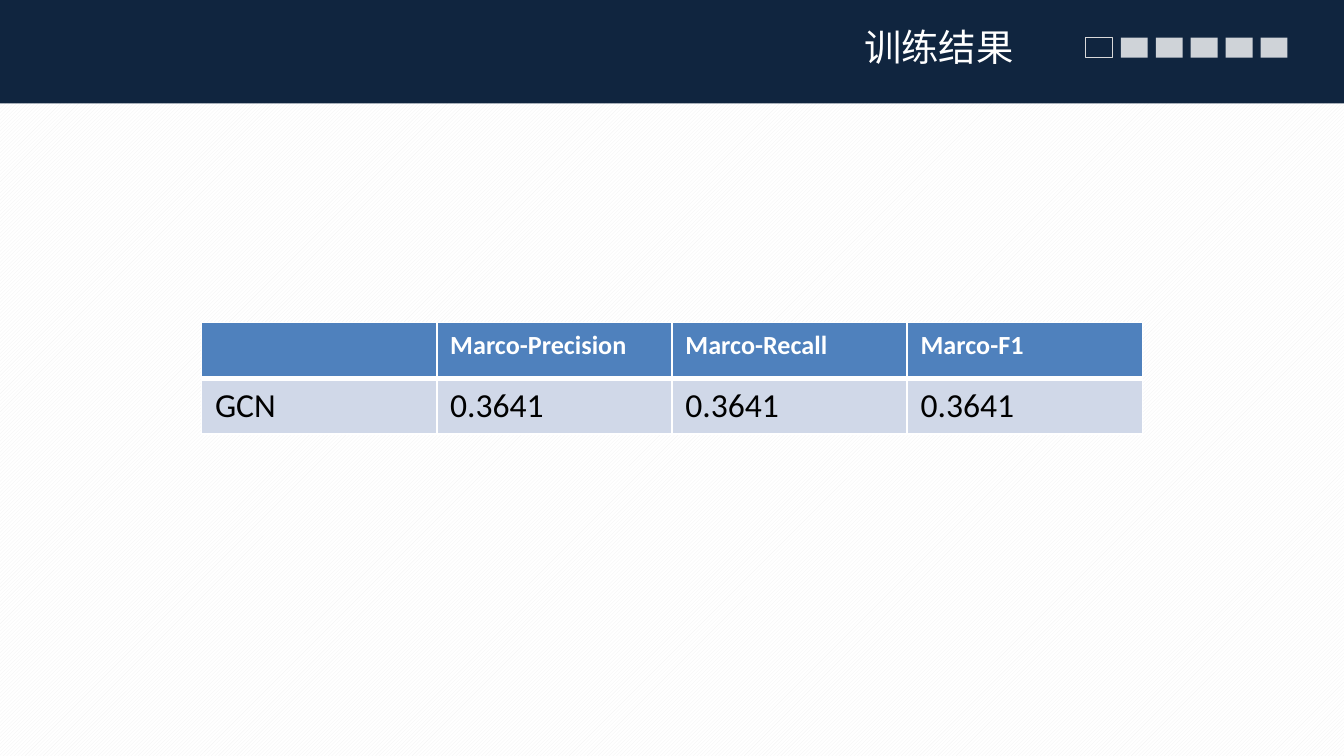
from lxml import etree
from pptx import Presentation
from pptx.dml.color import RGBColor
from pptx.enum.dml import MSO_PATTERN
from pptx.enum.shapes import MSO_SHAPE
from pptx.enum.text import MSO_ANCHOR, PP_ALIGN
from pptx.oxml import parse_xml
from pptx.oxml.ns import nsdecls, qn
from pptx.util import Inches, Pt

RECTANGLE = MSO_SHAPE.RECTANGLE
DIAGONAL = MSO_PATTERN.LIGHT_UPWARD_DIAGONAL
RIGHT = PP_ALIGN.RIGHT
TOP = MSO_ANCHOR.TOP

NAVY = RGBColor(0x10, 0x25, 0x3F)
WHITE = RGBColor(0xFF, 0xFF, 0xFF)
BLACK = RGBColor(0, 0, 0)
PALE_GREY = RGBColor(0xF2, 0xF2, 0xF2)
OUTLINE_GREY = RGBColor(0xD9, 0xD9, 0xD9)
BLUE = RGBColor(0x4F, 0x81, 0xBD)
PALE_BLUE = RGBColor(0xD0, 0xD8, 0xE8)

deck = Presentation()
deck.slide_width = Inches(10)
deck.slide_height = deck.slide_width * 9 // 16
slide = deck.slides.add_slide(deck.slide_layouts[6])

backdrop = slide.background.fill
backdrop.patterned()
backdrop.pattern = DIAGONAL
backdrop.fore_color.rgb = PALE_GREY
backdrop.back_color.rgb = WHITE


def add_block(left, top, width, height):
    block = slide.shapes.add_shape(
        RECTANGLE, Inches(left), Inches(top), Inches(width), Inches(height))
    block.shadow.inherit = False
    block.line.fill.background()
    return block


header = add_block(0, 0, 10, 0.77)
header.fill.solid()
header.fill.fore_color.rgb = NAVY

MARKER_STEP = 0.26
for step in range(6):
    marker = add_block(8.08 + step * MARKER_STEP, 0.28, 0.2, 0.15)
    if step == 0:
        marker.fill.background()
        marker.line.color.rgb = OUTLINE_GREY
        marker.line.width = Pt(0.5)
    else:
        marker.fill.solid()
        marker.fill.fore_color.rgb = WHITE
        tint = marker.fill._xPr.find(qn("a:solidFill"))[0]
        etree.SubElement(tint, qn("a:alpha"), val="80000")

title = slide.shapes.add_textbox(Inches(3.55), Inches(0.13), Inches(4.09), Inches(0.5)).text_frame
for setting, value in {"word_wrap": True, "vertical_anchor": TOP}.items():
    setattr(title, setting, value)
title.paragraphs[0].alignment = RIGHT
heading = title.paragraphs[0].add_run()
heading.text = "训练结果"
for setting, value in {"size": Pt(20), "name": "Noto Sans CJK SC"}.items():
    setattr(heading.font, setting, value)
heading.font.color.rgb = WHITE
etree.SubElement(heading.font._element, qn("a:ea"), typeface="Noto Sans CJK SC")

scores = [
    ["", "Marco-Precision", "Marco-Recall", "Marco-F1"],
    ["GCN", "0.3641", "0.3641", "0.3641"],
]
row_styles = [
    {"fill": BLUE, "ink": WHITE, "font": {"name": "Calibri", "size": Pt(14), "bold": True},
     "borders": {"lnL": 1, "lnR": 1, "lnT": 1, "lnB": 3}},
    {"fill": PALE_BLUE, "ink": BLACK, "font": {"name": "Calibri", "size": Pt(18), "bold": False},
     "borders": {"lnL": 1, "lnR": 1, "lnT": 3, "lnB": 1}},
]
results = slide.shapes.add_table(
    len(scores), len(scores[0]), Inches(1.5), Inches(2.4), Inches(7), Inches(0.83)).table

for row, (entries, style) in enumerate(zip(scores, row_styles)):
    for column, entry in enumerate(entries):
        cell = results.cell(row, column)
        cell.fill.solid()
        cell.fill.fore_color.rgb = style["fill"]
        for place, (edge, points) in enumerate(style["borders"].items()):
            cell._tc.get_or_add_tcPr().insert(place, parse_xml(
                f'<a:{edge} {nsdecls("a")} w="{Pt(points)}"><a:solidFill>'
                f'<a:srgbClr val="{WHITE}"/></a:solidFill></a:{edge}>'))
        if entry:
            score = cell.text_frame.paragraphs[0].add_run()
            score.text = entry
            for setting, value in style["font"].items():
                setattr(score.font, setting, value)
            score.font.color.rgb = style["ink"]

deck.save("out.pptx")
